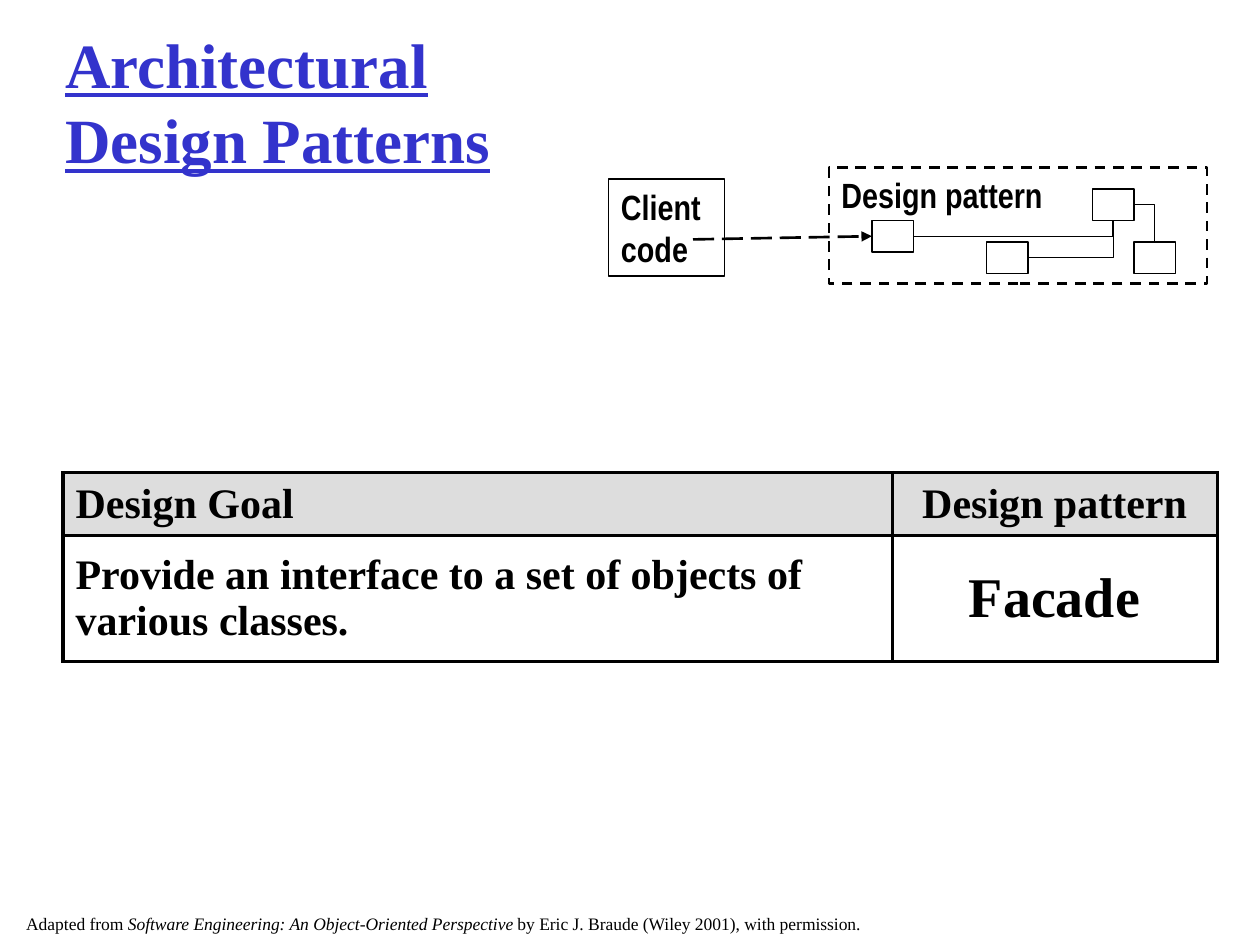
from lxml import etree
from pptx import Presentation
from pptx.dml.color import RGBColor
from pptx.enum import dml, shapes, text
from pptx.oxml import ns
from pptx.util import Inches, Pt

BLACK = RGBColor(0, 0, 0)
WHITE = RGBColor(255, 255, 255)
GREY = RGBColor(0xDD, 0xDD, 0xDD)
BLUE = RGBColor(0x33, 0x33, 0xCC)
SERIF, NARROW = "Times New Roman", "Arial Narrow"
LEFT, MID = text.PP_ALIGN.LEFT, text.PP_ALIGN.CENTER

# Content
TITLE = "Architectural Design Patterns"
GOALS = [
    [("Design Goal", 24), ("Design pattern", 24)],
    [("Provide an interface to a set of objects of various classes.", 24),
     ("Facade", 32)],
]
COLS, ROWS = (6.58, 2.58), (0.5, 1)
ALIGNS, FILLS = (LEFT, MID), (GREY, WHITE)
CREDIT = [
    ("Adapted from ", False),
    ("Software Engineering: An Object-Oriented Perspective ", True),
    ("by Eric J. Braude (Wiley 2001), with permission.", False),
]
FRAMES = [  # label, place, line width, dash
    ("Design pattern", (6.58, 1.33, 3, 0.92), 1.5, dml.MSO_LINE.DASH),
    ("Client code", (4.83, 1.42, 0.92, 0.77), 0.75, None),
]
PARTS = {"top": (8.67, 1.5), "right": (9, 1.92),
         "low": (7.83, 1.92), "entry": (6.92, 1.75)}
PART_SIZE = (0.33, 0.25)
LINKS = [("low", "top", 2), ("top", "right", 0), ("entry", "top", 2)]

deck = Presentation()
deck.slide_width, deck.slide_height = Inches(10), Inches(7.5)
slide = deck.slides.add_slide(deck.slide_layouts[6])


def style(para, size, face, color=BLACK, bold=True):
    font = para.font
    font.size, font.name, font.bold = Pt(size), face, bold
    font.color.rgb = color


def box(place, width, dash=None):
    shape = slide.shapes.add_shape(
        shapes.MSO_SHAPE.RECTANGLE, *map(Inches, place))
    shape.shadow.inherit = False
    shape.fill.background()
    shape.line.color.rgb = BLACK
    shape.line.width = Pt(width)
    if dash:
        shape.line.dash_style = dash
    return shape


def link(kind, width, start=(0, 0)):
    x, y = map(Inches, start)
    line = slide.shapes.add_connector(kind, x, y, x, y)
    line.line.color.rgb = BLACK
    line.line.width = Pt(width)
    return line


def flat(line):
    etree.SubElement(line._element.spPr, ns.qn("a:effectLst"))


def border(cell, width):
    props = cell._tc.get_or_add_tcPr()
    for side in "LRTB":
        edge = etree.SubElement(props, ns.qn(f"a:ln{side}"), w=str(Pt(width)))
        fill = etree.SubElement(edge, ns.qn("a:solidFill"))
        etree.SubElement(fill, ns.qn("a:srgbClr"), val=str(BLACK))


# Title
title = slide.shapes.add_textbox(*map(Inches, (0.42, 0.58, 4, 0.44)))
frame = title.text_frame
frame.word_wrap = True
frame.vertical_anchor = text.MSO_ANCHOR.MIDDLE
para = frame.paragraphs[0]
para.text = TITLE
style(para, 36, SERIF, BLUE)
para.font.underline = True

# Framed labels
for label, place, width, dash in FRAMES:
    frame = box(place, width, dash).text_frame
    frame.word_wrap = True
    frame.vertical_anchor = text.MSO_ANCHOR.TOP
    para = frame.paragraphs[0]
    para.text = label
    para.alignment = LEFT
    style(para, 20, NARROW)

# Pattern parts and their links
parts = {name: box(spot + PART_SIZE, 1) for name, spot in PARTS.items()}
for start, end, side in LINKS:
    bent = link(shapes.MSO_CONNECTOR.ELBOW, 0.75)
    bent.begin_connect(parts[start], 3)
    bent.end_connect(parts[end], side)
    bent._element.spPr.find(ns.qn("a:prstGeom")).set("prst", "bentConnector2")
    flat(bent)

# Call from the client
call = link(shapes.MSO_CONNECTOR.STRAIGHT, 1.5, (5.5, 1.9))
call.end_connect(parts["entry"], 1)
call.line.dash_style = dml.MSO_LINE.LONG_DASH
etree.SubElement(call.line._get_or_add_ln(), ns.qn("a:tailEnd"),
                 type="triangle")
flat(call)

# Goal table
table = slide.shapes.add_table(
    len(ROWS), len(COLS), Inches(0.5), Inches(3.75),
    Inches(sum(COLS)), Inches(sum(ROWS))).table
table.first_row = table.horz_banding = False
for col, width in zip(table.columns, COLS):
    col.width = Inches(width)
for r, line in enumerate(GOALS):
    table.rows[r].height = Inches(ROWS[r])
    for c, (words, size) in enumerate(line):
        cell = table.cell(r, c)
        border(cell, 2)
        cell.fill.solid()
        cell.fill.fore_color.rgb = FILLS[r]
        cell.vertical_anchor = text.MSO_ANCHOR.MIDDLE
        para = cell.text_frame.paragraphs[0]
        para.text = words
        para.alignment = ALIGNS[c]
        style(para, size, SERIF)

# Credit line
credit = slide.shapes.add_textbox(*map(Inches, (0.11, 7.25, 6.83, 0.17)))
credit.fill.solid()
credit.fill.fore_color.rgb = WHITE
frame = credit.text_frame
frame.word_wrap = False
frame.margin_top = frame.margin_bottom = 0
para = frame.paragraphs[0]
style(para, 10, SERIF, bold=False)
for words, slant in CREDIT:
    run = para.add_run()
    run.text = words
    run.font.italic = slant

deck.save("out.pptx")
